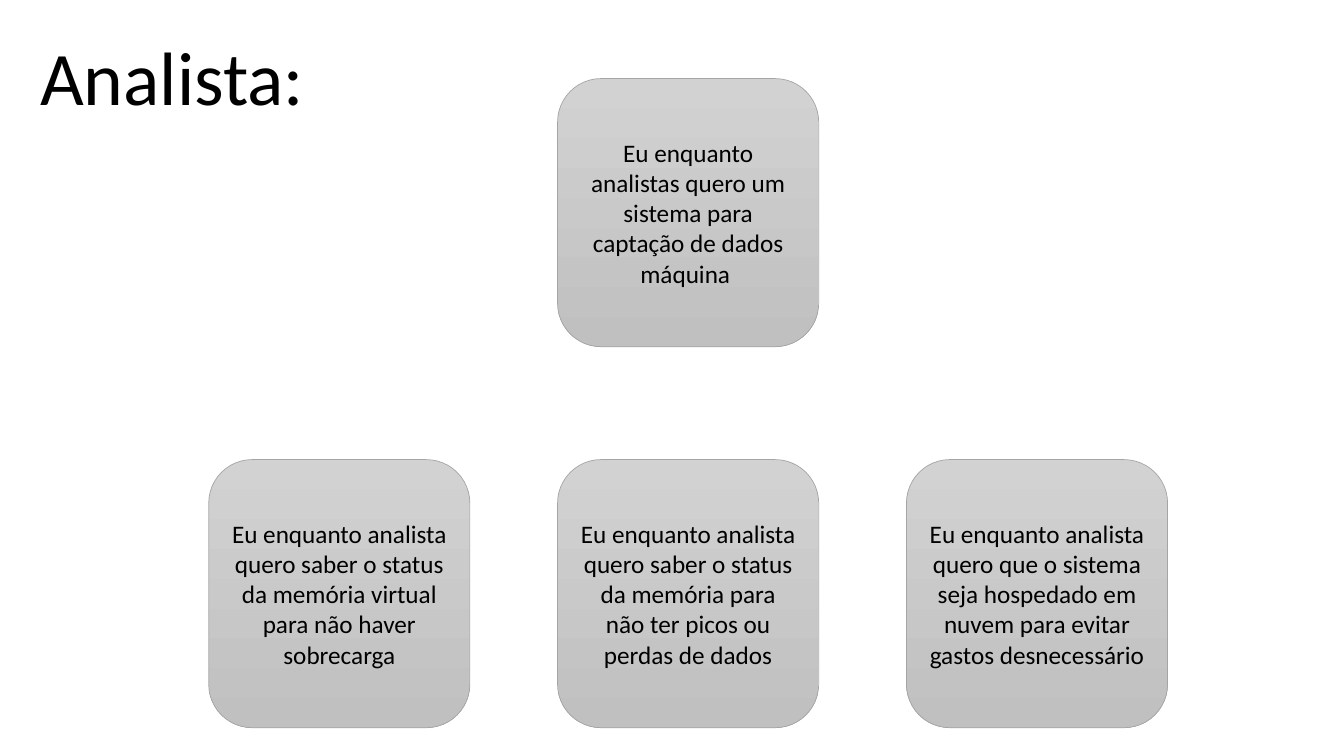
import pptx
import pptx.util
from pptx.dml.color import RGBColor
from pptx.enum.shapes import MSO_SHAPE
from pptx.enum.text import MSO_ANCHOR, MSO_AUTO_SIZE, PP_ALIGN

TITLE = "Analista:"
STORIES = [
    (1, 0, ["Eu enquanto analistas quero um sistema para captação de dados", "máquina "]),
    (0, 1, ["Eu enquanto analista quero saber o status da memória virtual para não haver sobrecarga"]),
    (1, 1, ["Eu enquanto analista quero saber o status da memória para não ter picos ou perdas de dados"]),
    (2, 1, ["Eu enquanto analista quero que o sistema seja hospedado em nuvem para evitar gastos desnecessário "]),
]

BLACK = RGBColor(0x00, 0x00, 0x00)
LIGHT_GREY = RGBColor(0xD2, 0xD2, 0xD2)
MID_GREY = RGBColor(0xC0, 0xC0, 0xC0)
EDGE_GREY = RGBColor(0xA5, 0xA5, 0xA5)
FONT = "Calibri"

GRID_LEFT, GRID_TOP = 2.07, 0.78
COLUMN_STEP, ROW_STEP = 3.46, 3.78
CARD_WIDTH, CARD_HEIGHT = 2.59, 2.66


def inches(*lengths):
    return [pptx.util.Inches(length) for length in lengths]


def write(para, text, size):
    span = para.add_run()
    span.text = text
    span.font.name = FONT
    span.font.size = pptx.util.Pt(size)
    span.font.color.rgb = BLACK


def add_title(page):
    box = page.shapes.add_textbox(*inches(0.3, 0.25, 3.48, 1.01))
    box.text_frame.word_wrap = True
    box.text_frame.auto_size = MSO_AUTO_SIZE.SHAPE_TO_FIT_TEXT
    write(box.text_frame.paragraphs[0], TITLE, 54)


def add_card(page, column, row, lines):
    left = GRID_LEFT + column * COLUMN_STEP
    top = GRID_TOP + row * ROW_STEP
    card = page.shapes.add_shape(
        MSO_SHAPE.ROUNDED_RECTANGLE, *inches(left, top, CARD_WIDTH, CARD_HEIGHT))
    card.shadow.inherit = False
    card.fill.gradient()
    card.fill.gradient_angle = 270
    for stop, color in zip(card.fill.gradient_stops, (LIGHT_GREY, MID_GREY)):
        stop.color.rgb = color
    card.line.color.rgb = EDGE_GREY
    card.line.width = pptx.util.Pt(0.5)
    frame = card.text_frame
    frame.word_wrap = True
    frame.vertical_anchor = MSO_ANCHOR.MIDDLE
    for index, line in enumerate(lines):
        para = frame.add_paragraph() if index else frame.paragraphs[0]
        para.alignment = PP_ALIGN.CENTER
        write(para, line, 18)


def main():
    deck = pptx.Presentation()
    deck.slide_width, deck.slide_height = inches(13.33, 7.5)
    page = deck.slides.add_slide(deck.slide_layouts[6])
    add_title(page)
    for column, row, lines in STORIES:
        add_card(page, column, row, lines)
    deck.save("out.pptx")


if __name__ == "__main__":
    main()
